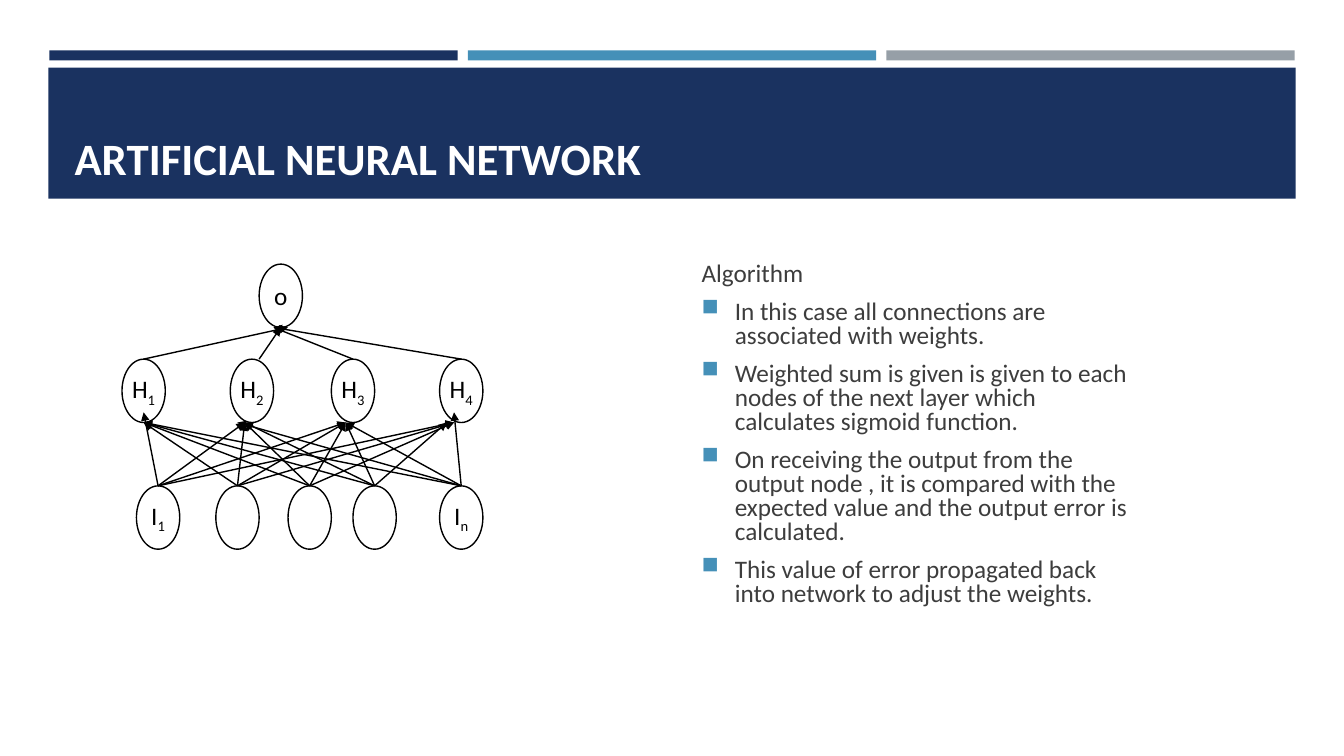
from itertools import product
from lxml.etree import SubElement
from pptx import Presentation
from pptx.dml.color import RGBColor
from pptx.enum.shapes import MSO_CONNECTOR, MSO_SHAPE
from pptx.enum.text import MSO_ANCHOR, PP_ALIGN
from pptx.oxml.ns import qn
from pptx.util import Inches, Pt

HUES = {"navy": "1A3260", "blue": "4590B8", "gray": "969FA7",
        "white": "FFFFFF", "black": "000000", "text": "3D3D3D"}

# Network grid: origin, column and row size in inches
LEFT, TOP = 1.21, 2.62
COL, ROW = 3.15 / 44, 2.2 / 7
WIDE, TALL = 6, 2  # node size in columns and rows


def hue(name):
    return RGBColor.from_string(HUES[name])


def spot(col, row):
    return Inches(LEFT + col * COL), Inches(TOP + row * ROW)


class Deck:
    font, size = "Calibri", 18

    def __init__(self, show):
        self.slide = show.slides.add_slide(show.slide_layouts[5])
        self.shapes = self.slide.shapes

    def words(self, para, text, color, size=None, bold=False, sub=False):
        run = para.add_run()
        run.text = text
        run.font.name = self.font
        run.font.size = Pt(size or self.size)
        run.font.bold = bold
        run.font.color.rgb = hue(color)
        if sub:
            run._r.get_or_add_rPr().set("baseline", "-25000")

    def bar(self, x, y, w, h, color):
        box = self.shapes.add_shape(MSO_SHAPE.RECTANGLE, *map(Inches, (x, y, w, h)))
        box.shadow.inherit = False
        box.fill.solid()
        box.fill.fore_color.rgb = hue(color)
        box.line.fill.background()

    def title(self, text, x, y, w, h):
        head = self.shapes.title
        head.left, head.top, head.width, head.height = map(Inches, (x, y, w, h))
        # Bring the title in front of its band
        self.shapes._spTree.append(head._element)
        frame = head.text_frame
        frame.vertical_anchor = MSO_ANCHOR.BOTTOM
        frame.word_wrap = True
        para = frame.paragraphs[0]
        para.alignment = PP_ALIGN.LEFT
        self.words(para, text, "white", 32, True)

    def points(self, head, items, x, y, w, h):
        frame = self.shapes.add_textbox(*map(Inches, (x, y, w, h))).text_frame
        frame.word_wrap = True
        frame.vertical_anchor = MSO_ANCHOR.MIDDLE
        for i, text in enumerate([head] + items):
            para = frame.add_paragraph() if i else frame.paragraphs[0]
            para.line_spacing = 0.8
            para.space_before, para.space_after = Pt(3.6), Pt(6)
            if i:
                self.bullet(para)
            self.words(para, text, "text")

    def bullet(self, para):
        props = para._p.get_or_add_pPr()
        props.set("marL", str(Inches(0.33)))
        props.set("indent", str(-Inches(0.33)))
        tint = SubElement(props, qn("a:buClr"))
        SubElement(tint, qn("a:srgbClr")).set("val", HUES["blue"])
        SubElement(props, qn("a:buSzPct")).set("val", "92000")
        SubElement(props, qn("a:buChar")).set("char", "■")

    def node(self, col, row, text="", sub=""):
        oval = self.shapes.add_shape(MSO_SHAPE.OVAL, *spot(col, row),
                                     Inches(WIDE * COL), Inches(TALL * ROW))
        oval.shadow.inherit = False
        oval.fill.background()
        oval.line.color.rgb = hue("black")
        oval.line.width = Pt(1)
        frame = oval.text_frame
        frame.word_wrap = False
        frame.vertical_anchor = MSO_ANCHOR.MIDDLE
        para = frame.paragraphs[0]
        para.alignment = PP_ALIGN.CENTER
        if text:
            self.words(para, text, "black")
        if sub:
            self.words(para, sub, "black", sub=True)

    def arrow(self, start, end):
        wire = self.shapes.add_connector(MSO_CONNECTOR.STRAIGHT, *spot(*start), *spot(*end))
        wire.line.color.rgb = hue("black")
        wire.line.width = Pt(1)
        props = wire._element.spPr
        SubElement(props.get_or_add_ln(), qn("a:tailEnd")).set("type", "triangle")
        SubElement(props, qn("a:effectLst"))


show = Presentation()
show.slide_width, show.slide_height = Inches(13.33), Inches(7.5)
deck = Deck(show)

# Top stripes, title band and title
for i, color in enumerate(("navy", "blue", "gray")):
    deck.bar(0.49 + i * 4.15, 0.5, 4.05, 0.1, color)
deck.bar(0.48, 0.67, 12.37, 1.3, "navy")
deck.title("ARTIFICIAL NEURAL NETWORK", 0.64, 0.77, 12.06, 1.11)

# Algorithm text
deck.points("Algorithm", [
    "In this case all connections are associated with weights.",
    "Weighted sum is given is given to each nodes of the next layer "
    "which calculates sigmoid function.",
    "On receiving the output from the output node , it is compared with "
    "the expected value and the output error is calculated.",
    "This value of error propagated back into network to adjust the weights.",
], 6.86, 2.26, 4.42, 4.12)

# Nodes: output, hidden and input layers
hidden = (0, 15, 29, 44)
inputs = (2, 13, 23, 32, 44)
deck.node(19, 0, "o")
for i, col in enumerate(hidden, 1):
    deck.node(col, 3, "H", str(i))
for col, sub in zip(inputs, ("1", "", "", "", "n")):
    deck.node(col, 7, "I" if sub else "", sub)

# Arrows from hidden layer to output
for start, end in zip((3, 19, 32, 47), (23, 22, 21, 21)):
    deck.arrow((start, 3), (end, 2))

# Arrows from every input to every hidden node
tips = (3, 17, 31, 46)
shift = {(3, 3): -1, (4, 1): -1}  # tips one column to the left
outer = {(0, 0), (4, 3)}  # edge arrows reach into their node
for i, j in product(range(len(inputs)), range(len(tips))):
    end = (tips[j] + shift.get((i, j), 0), 4.68 if (i, j) in outer else 5)
    deck.arrow((inputs[i] + WIDE / 2, 7), end)

show.save("out.pptx")
